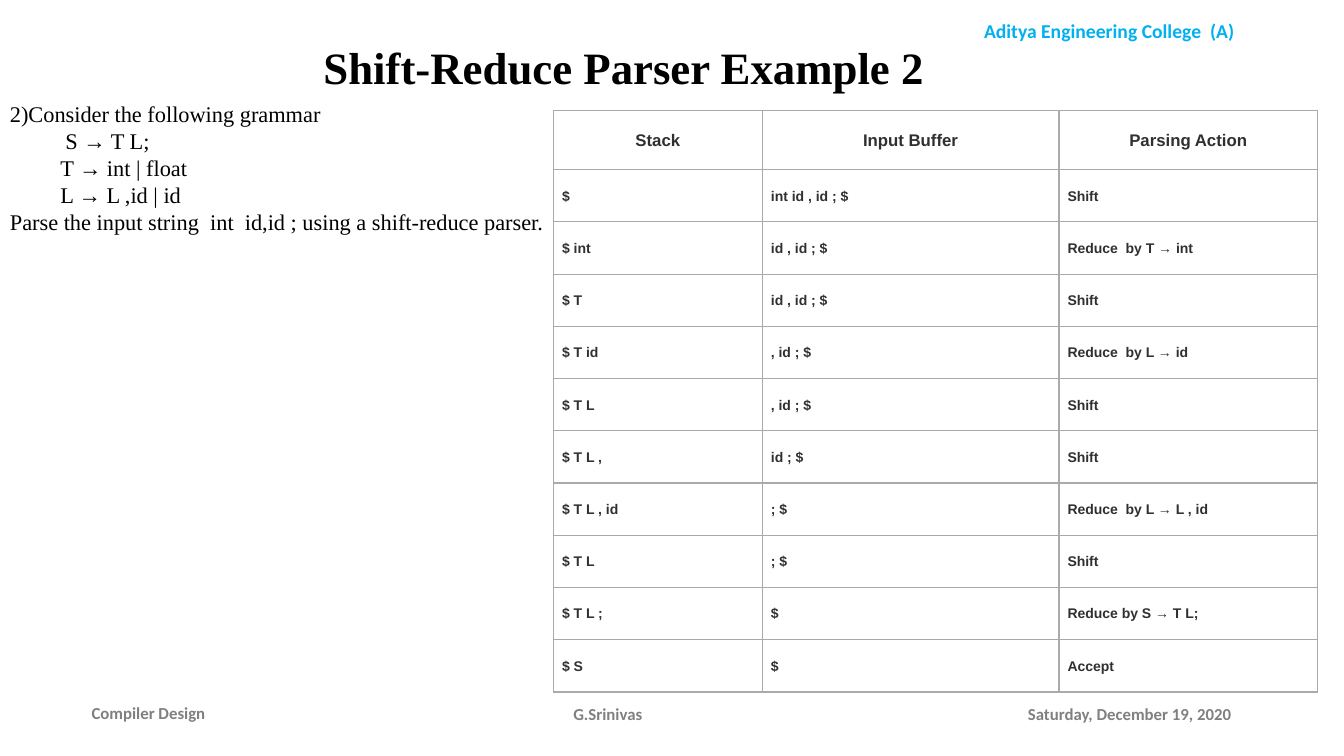
import pptx
import pptx.dml.color
import pptx.enum.text
import pptx.util
import lxml.etree
import pptx.oxml.ns

Pt = pptx.util.Pt
RGBColor = pptx.dml.color.RGBColor
ALIGN = pptx.enum.text.PP_ALIGN
ANCHOR = pptx.enum.text.MSO_ANCHOR
qn = pptx.oxml.ns.qn

BLACK = RGBColor(0, 0, 0)
WHITE = RGBColor(255, 255, 255)
SKY = RGBColor(0x00, 0xB0, 0xF0)
GRAY = RGBColor(0x80, 0x80, 0x80)
INK = RGBColor(0x30, 0x30, 0x30)
BORDER = RGBColor(0xAA, 0xAA, 0xAA)

LABELS = [
    ("Aditya Engineering College  (A)", (654.5, 10.1, 275.8, 24.5),
     14, "Calibri", SKY, ALIGN.CENTER, ANCHOR.TOP),
    ("Compiler Design", (58.3, 494.6, 151.9, 28.8),
     12, "Calibri", GRAY, ALIGN.JUSTIFY, ANCHOR.MIDDLE),
    ("Saturday, December 19, 2020", (727.2, 495.4, 165.6, 28.8),
     12, "Calibri", GRAY, ALIGN.LEFT, ANCHOR.MIDDLE),
    ("G.Srinivas", (326.2, 495.4, 216, 28.8),
     12, "Calibri", GRAY, ALIGN.CENTER, ANCHOR.MIDDLE),
    ("Shift-Reduce Parser Example 2", (76.6, 11.5, 738, 72),
     32, "Times New Roman", BLACK, ALIGN.CENTER, ANCHOR.MIDDLE),
]
GRAMMAR = [
    ("2)Consider the following grammar", 0),
    ("S → T L;", 39.6),
    ("T → int | float", 36),
    ("L → L ,id | id", 36),
    ("Parse the input string  int  id,id ; using a shift-reduce parser.", 0),
]
STEPS = [
    ("Stack", "Input Buffer", "Parsing Action"),
    ("$", "int id , id ; $", "Shift"),
    ("$ int", "id , id ; $", "Reduce  by T → int"),
    ("$ T", "id , id ; $", "Shift"),
    ("$ T id", ", id ; $", "Reduce  by L → id"),
    ("$ T L", ", id ; $", "Shift"),
    ("$ T L ,", "id ; $", "Shift"),
    ("$ T L , id", "; $", "Reduce  by L → L , id"),
    ("$ T L", "; $", "Shift"),
    ("$ T L ;", "$", "Reduce by S → T L;"),
    ("$ S", "$", "Accept"),
]
TABLE_LEFT, TABLE_TOP = 395.3, 78.7
COL_WIDTHS = [149.2, 211.9, 184.8]
HEADER_HEIGHT, ROW_HEIGHT = 42.5, 37.32


def set_font(p, size, name, color, bold=True):
    p.font.size = Pt(size)
    p.font.name = name
    p.font.bold = bold
    p.font.color.rgb = color


def add_box(slide, box, anchor):
    tf = slide.shapes.add_textbox(*map(Pt, box)).text_frame
    tf.word_wrap = True
    tf.vertical_anchor = anchor
    return tf


def add_borders(cell):
    tcPr = cell._tc.get_or_add_tcPr()
    for i, side in enumerate(("lnL", "lnR", "lnT", "lnB")):
        ln = lxml.etree.Element(qn("a:" + side), w=str(Pt(1)))
        fill = lxml.etree.SubElement(ln, qn("a:solidFill"))
        lxml.etree.SubElement(fill, qn("a:srgbClr"), val=str(BORDER))
        tcPr.insert(i, ln)


def add_steps(slide):
    height = HEADER_HEIGHT + ROW_HEIGHT * (len(STEPS) - 1)
    table = slide.shapes.add_table(
        len(STEPS), len(COL_WIDTHS), Pt(TABLE_LEFT), Pt(TABLE_TOP),
        Pt(sum(COL_WIDTHS)), Pt(height)).table
    table.horz_banding = False
    for column, width in zip(table.columns, COL_WIDTHS):
        column.width = Pt(width)
    for i, step in enumerate(STEPS):
        header = i == 0
        table.rows[i].height = Pt(HEADER_HEIGHT if header else ROW_HEIGHT)
        for j, text in enumerate(step):
            cell = table.cell(i, j)
            cell.fill.solid()
            cell.fill.fore_color.rgb = WHITE
            cell.vertical_anchor = ANCHOR.MIDDLE
            cell.margin_left = cell.margin_right = Pt(6.2)
            cell.margin_top = cell.margin_bottom = Pt(5.2)
            add_borders(cell)
            p = cell.text_frame.paragraphs[0]
            p.text = text
            p.alignment = ALIGN.CENTER if header else ALIGN.LEFT
            p.line_spacing = 1.07
            set_font(p, 12 if header else 10, "Arial", INK)


def main():
    prs = pptx.Presentation()
    prs.slide_width, prs.slide_height = Pt(960), Pt(540)
    slide = prs.slides.add_slide(prs.slide_layouts[6])

    for text, box, size, name, color, align, anchor in LABELS:
        p = add_box(slide, box, anchor).paragraphs[0]
        p.text = text
        p.alignment = align
        set_font(p, size, name, color)

    tf = add_box(slide, (0, 67.7, 410.4, 226), ANCHOR.TOP)
    for i, (text, indent) in enumerate(GRAMMAR):
        p = tf.paragraphs[0] if i == 0 else tf.add_paragraph()
        p.text = text
        p.line_spacing = Pt(19.3)
        p._p.get_or_add_pPr().set("marL", str(Pt(indent)))
        set_font(p, 16, "Times New Roman", BLACK, False)

    add_steps(slide)
    prs.save("out.pptx")


if __name__ == "__main__":
    main()
